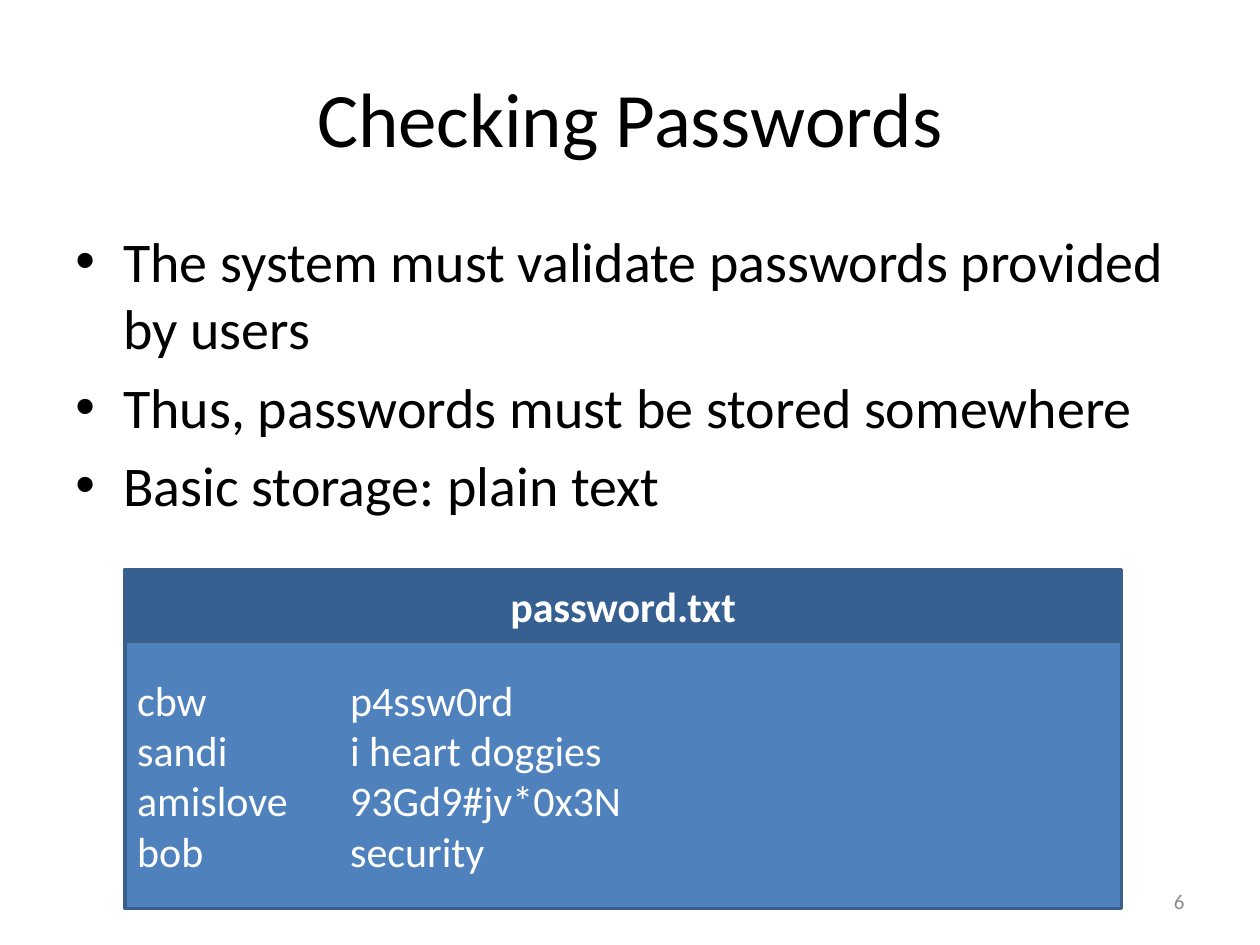
from dataclasses import dataclass

from lxml import etree
from pptx import Presentation
from pptx.dml.color import RGBColor
from pptx.enum.shapes import MSO_SHAPE
from pptx.enum.text import MSO_ANCHOR, PP_ALIGN
from pptx.oxml.ns import qn
from pptx.util import Inches, Pt

LEFT, CENTER, RIGHT = PP_ALIGN.LEFT, PP_ALIGN.CENTER, PP_ALIGN.RIGHT
TOP, MIDDLE = MSO_ANCHOR.TOP, MSO_ANCHOR.MIDDLE
RECT = MSO_SHAPE.RECTANGLE
CELL = 0.5  # inches: a grid of 20 columns by 15 rows


@dataclass(frozen=True)
class Theme:
    font: str = "Calibri"
    ink: str = "000000"
    pale: str = "FFFFFF"
    gray: str = "8C8C8C"
    head: str = "376092"
    fill: str = "4F81BD"
    edge: str = "3A5F8C"
    title: int = 44
    body: int = 32
    code: int = 24
    note: int = 12


def rgb(code):
    return RGBColor.from_string(code)


def grid(*cells):
    return [Inches(n * CELL) for n in cells]


class Deck:
    def __init__(self, theme):
        self.theme = theme
        self.prs = Presentation()
        self.prs.slide_width, self.prs.slide_height = grid(20, 15)
        self.slide = self.prs.slides.add_slide(self.prs.slide_layouts[6])

    def label(self, shape, lines, size, color, align=LEFT, anchor=MIDDLE, bold=False):
        frame = shape.text_frame
        frame.word_wrap = True
        frame.vertical_anchor = anchor
        frame.text = "\n".join(lines)
        for para in frame.paragraphs:
            para.alignment = align
            for run in para.runs:
                font = run.font
                font.name, font.size, font.bold = self.theme.font, Pt(size), bold
                font.color.rgb = rgb(color)
        return frame.paragraphs

    def text(self, box, lines, size, color, **style):
        shape = self.slide.shapes.add_textbox(*grid(*box))
        return self.label(shape, lines, size, color, **style)

    def bullets(self, box, lines):
        size = self.theme.body
        for para in self.text(box, lines, size, self.theme.ink, anchor=TOP):
            para.space_before = Pt(size * 0.2)
            props = para._p.get_or_add_pPr()
            props.set("marL", str(Inches(0.38)))
            props.set("indent", str(-Inches(0.38)))
            etree.SubElement(props, qn("a:buFont"), typeface="Arial")
            etree.SubElement(props, qn("a:buChar"), char="•")

    def panel(self, box, lines, fill, **style):
        shape = self.slide.shapes.add_shape(RECT, *grid(*box))
        shape.shadow.inherit = False
        shape.fill.solid()
        shape.fill.fore_color.rgb = rgb(fill)
        shape.line.color.rgb = rgb(self.theme.edge)
        shape.line.width = Pt(2)
        return self.label(shape, lines, self.theme.code, self.theme.pale, **style)

    def listing(self, left, top, width, head, body, name, rows):
        """Draw a titled panel whose rows are pairs set on a tab stop."""
        pairs = ["\t".join(row) for row in rows]
        for para in self.panel((left, top + head, width, body), pairs, self.theme.fill):
            tabs = etree.SubElement(para._p.get_or_add_pPr(), qn("a:tabLst"))
            etree.SubElement(tabs, qn("a:tab"), pos=str(Inches(1.69)), algn="l")
        self.panel((left, top, width, head), [name], self.theme.head,
                   align=CENTER, bold=True)


def main():
    theme = Theme()
    deck = Deck(theme)
    deck.text((1, 0.6, 18, 2.5), ["Checking Passwords"], theme.title, theme.ink,
              align=CENTER)
    deck.bullets((1, 3.5, 18, 5), [
        "The system must validate passwords provided by users",
        "Thus, passwords must be stored somewhere",
        "Basic storage: plain text",
    ])
    deck.text((14.34, 13.9, 4.66, 0.8), ["6"], theme.note, theme.gray, align=RIGHT)
    deck.listing(1.98, 9.04, 15.82, 1.14, 4.24, "password.txt", [
        ("cbw", "p4ssw0rd"),
        ("sandi", "i heart doggies"),
        ("amislove", "93Gd9#jv*0x3N"),
        ("bob", "security"),
    ])
    deck.prs.save("out.pptx")


if __name__ == "__main__":
    main()
